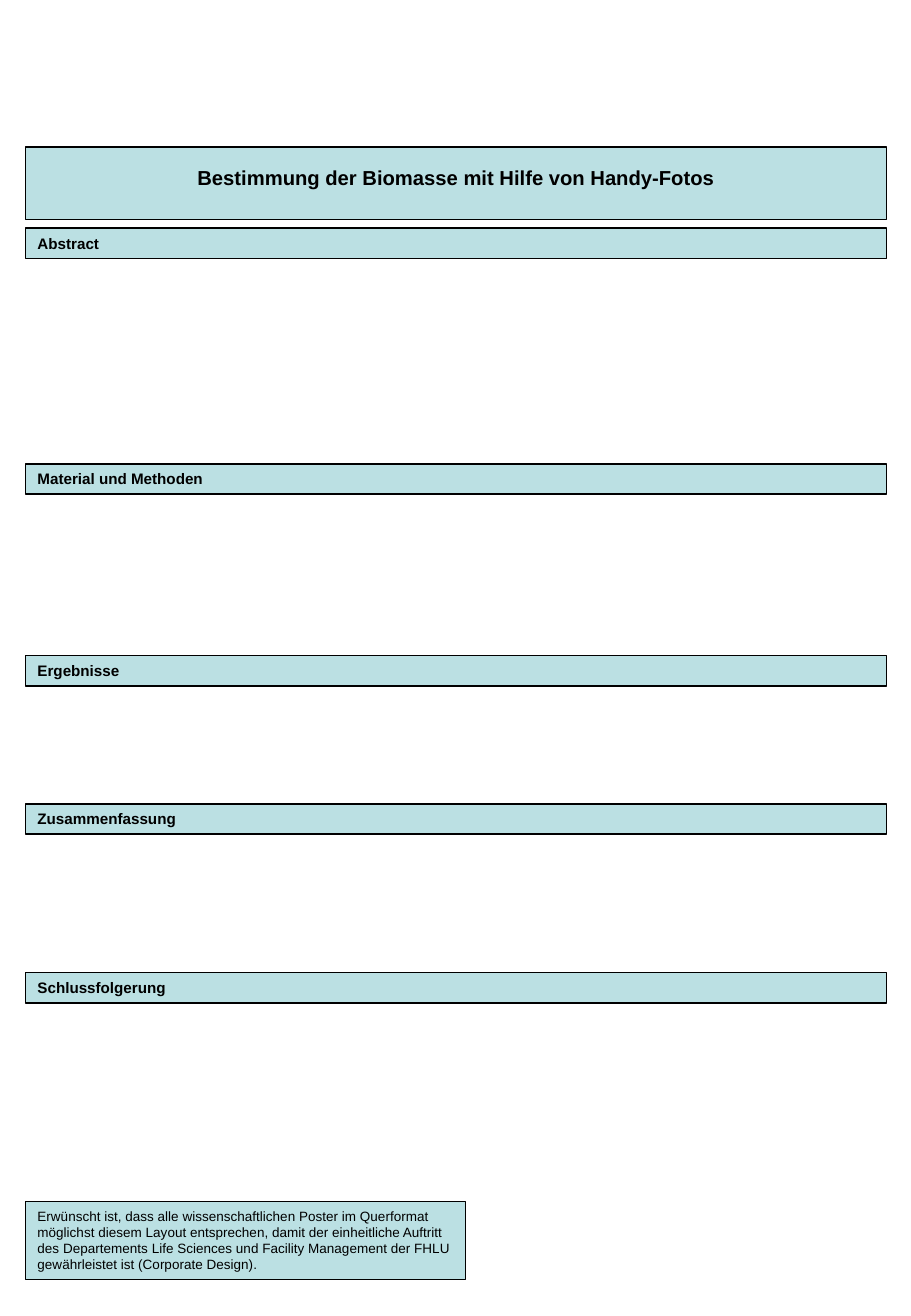
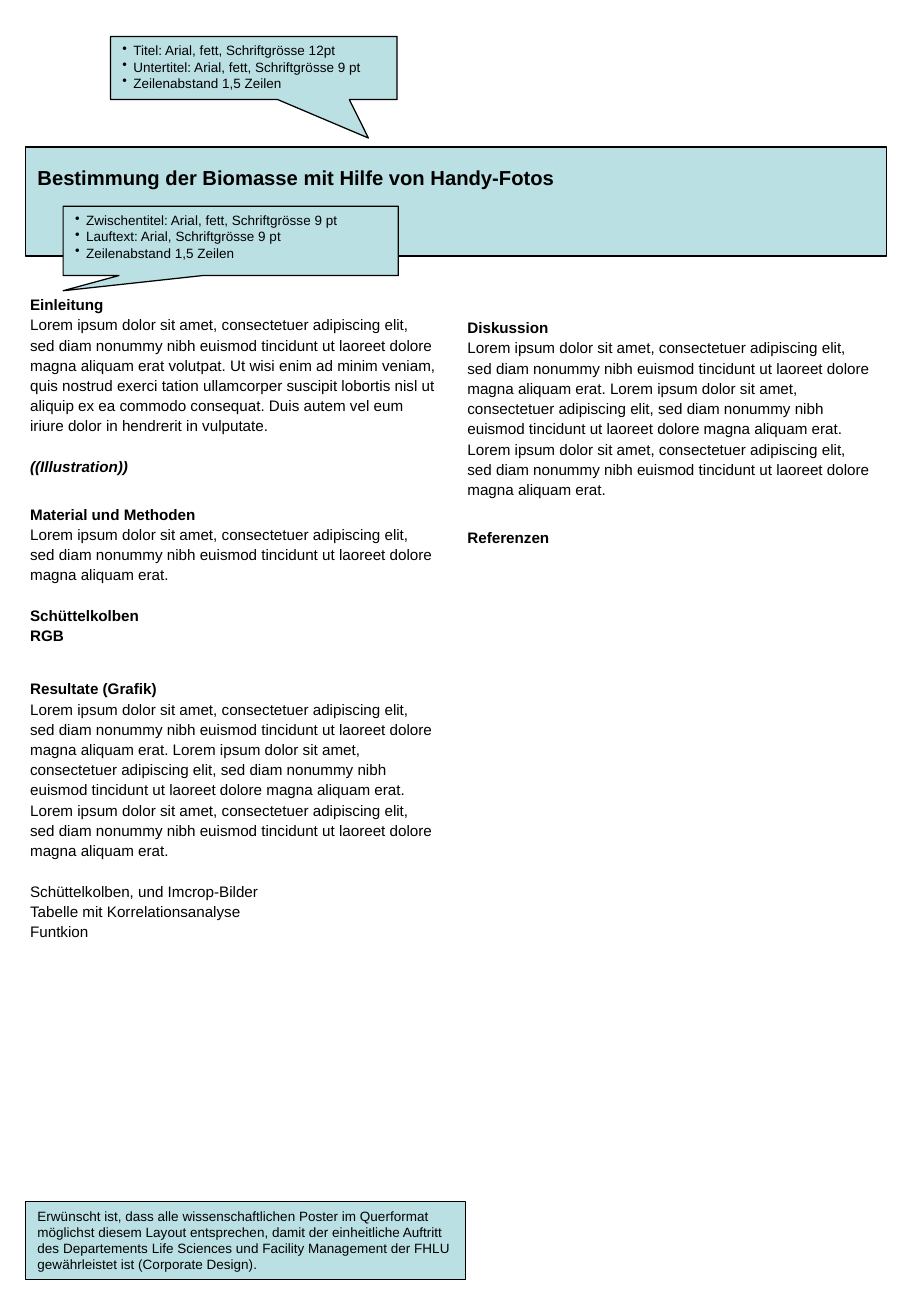
from lxml import etree
from pptx import Presentation
from pptx.dml.color import RGBColor
from pptx.enum.shapes import MSO_SHAPE
from pptx.enum.text import MSO_ANCHOR, PP_ALIGN
from pptx.oxml.ns import qn
from pptx.util import Inches, Pt

RECT = MSO_SHAPE.RECTANGLE
CALLOUT = MSO_SHAPE.RECTANGULAR_CALLOUT
TOP = MSO_ANCHOR.TOP
LEFT, CENTER = PP_ALIGN.LEFT, PP_ALIGN.CENTER

# Shared look
FONT, INK, TINT = "Arial", "000000", "BBE0E3"
EDGE, WIDE = 0.21, 7.09
BAND_TOP, BAR_HIGH = 1.21, 0.25
COL_WIDE, COL_END = 3.54, 10.84

# Content
TITLE = "Bestimmung der Biomasse mit Hilfe von Handy-Fotos"
FOOTER = ("Erwünscht ist, dass alle wissenschaftlichen Poster im Querformat "
          "möglichst diesem Layout entsprechen, damit der einheitliche Auftritt "
          "des Departements Life Sciences und Facility Management der "
          "FHLU gewährleistet ist (Corporate Design).")
LOREM = ("Lorem ipsum dolor sit amet, consectetuer adipiscing elit, sed diam "
         "nonummy nibh euismod tincidunt ut laoreet dolore magna aliquam erat")
INTRO = LOREM + (" volutpat. Ut wisi enim ad minim veniam, quis nostrud exerci "
                 "tation ullamcorper suscipit lobortis nisl ut aliquip ex ea "
                 "commodo consequat. Duis autem vel eum iriure dolor in "
                 "hendrerit in vulputate.")
ONCE = LOREM + "."

# Section bars: name, top
BARS = [("Abstract", 1.88), ("Material und Methoden", 3.82),
        ("Ergebnisse", 5.4), ("Zusammenfassung", 6.62),
        ("Schlussfolgerung", 8.01)]

# Paragraph styles: line spacing, bold, italic
STYLES = {"head": (1.5, True, False), "body": (Pt(12), False, False),
          "bold": (Pt(12), True, False), "note": (Pt(12), True, True)}

# Text columns: left, top, paragraphs of style, text, points before
COLUMNS = [
    (0.15, 2.31, [
        ("head", "Einleitung", 0),
        ("body", INTRO, 0),
        ("note", "((Illustration))", 12),
        ("head", "Material und Methoden", 12),
        ("body", ONCE, 0),
        ("bold", "Schüttelkolben", 12),
        ("bold", "RGB", 0),
        ("head", "Resultate (Grafik)", 15.5),
        ("body", " ".join([ONCE] * 3), 0),
        ("body", "Schüttelkolben, und Imcrop-Bilder", 12),
        ("body", "Tabelle mit Korrelationsanalyse", 0),
        ("body", "Funtkion", 0)]),
    (3.75, 2.5, [
        ("head", "Diskussion", 0),
        ("body", " ".join([ONCE] * 2), 0),
        ("body", ONCE, 0),
        ("head", "Referenzen", 12)]),
]

# Callouts: place, pointer, lines
CALLOUTS = [
    ((0.91, 0.3, 2.36, 0.52), (0.4, 1.11),
     ["Titel: Arial, fett, Schriftgrösse 12pt",
      "Untertitel: Arial, fett, Schriftgrösse 9 pt",
      "Zeilenabstand 1,5 Zeilen"]),
    ((0.52, 1.7, 2.76, 0.57), (-0.5, 0.72),
     ["Zwischentitel: Arial, fett, Schriftgrösse 9 pt",
      "Lauftext: Arial, Schriftgrösse 9 pt",
      "Zeilenabstand 1,5 Zeilen"]),
]


def color(code):
    return RGBColor.from_string(code)


def box(slide, place, kind=RECT, line=1):
    shape = slide.shapes.add_shape(kind, *map(Inches, place))
    shape.shadow.inherit = False
    shape.fill.solid()
    shape.fill.fore_color.rgb = color(TINT)
    shape.line.color.rgb = color(INK)
    shape.line.width = Pt(line)
    return shape


def write(shape, texts, size=9, bold=False, align=LEFT):
    """Fill a shape with one paragraph per text and return the paragraphs."""
    frame = shape.text_frame
    frame.word_wrap = True
    frame.vertical_anchor = TOP
    paras = []
    for text in texts:
        para = frame.add_paragraph() if paras else frame.paragraphs[0]
        para.alignment = align
        run = para.add_run()
        run.text = text
        font = run.font
        font.name, font.size, font.bold = FONT, Pt(size), bold
        font.color.rgb = color(INK)
        paras.append(para)
    return paras


def bullet(para):
    props = para._p.get_or_add_pPr()
    props.set("marL", str(Inches(0.09)))
    props.set("indent", str(-Inches(0.09)))
    etree.SubElement(props, qn("a:buChar")).set("char", "•")


def band(slide, high, align):
    shape = box(slide, (EDGE, BAND_TOP, WIDE, high))
    write(shape, [TITLE], 12, True, align)[0].line_spacing = 1.5


def footer(slide):
    write(box(slide, (EDGE, 9.9, 3.62, 0.64), line=0.75), [FOOTER], 8)


def column(slide, left, top, items):
    place = (left, top, COL_WIDE, COL_END - top)
    shape = slide.shapes.add_textbox(*map(Inches, place))
    paras = write(shape, [text for _, text, _ in items])
    for para, (style, _, gap) in zip(paras, items):
        font = para.runs[0].font
        para.line_spacing, font.bold, font.italic = STYLES[style]
        para.space_before = Pt(gap)


def callout(slide, place, tip, lines):
    shape = box(slide, place, CALLOUT, 0.75)
    shape.adjustments[0], shape.adjustments[1] = tip
    for para in write(shape, lines, 8):
        bullet(para)


def main():
    deck = Presentation()
    deck.slide_width, deck.slide_height = Inches(7.5), Inches(10.84)
    blank = deck.slide_layouts[6]

    # Outline poster
    slide = deck.slides.add_slide(blank)
    band(slide, 0.6, CENTER)
    footer(slide)
    for name, top in BARS:
        write(box(slide, (EDGE, top, WIDE, BAR_HIGH)), [name], bold=True)

    # Text poster
    slide = deck.slides.add_slide(blank)
    band(slide, 0.9, LEFT)
    for part in COLUMNS:
        column(slide, *part)
    for part in CALLOUTS:
        callout(slide, *part)
    footer(slide)

    deck.save("out.pptx")


if __name__ == "__main__":
    main()
